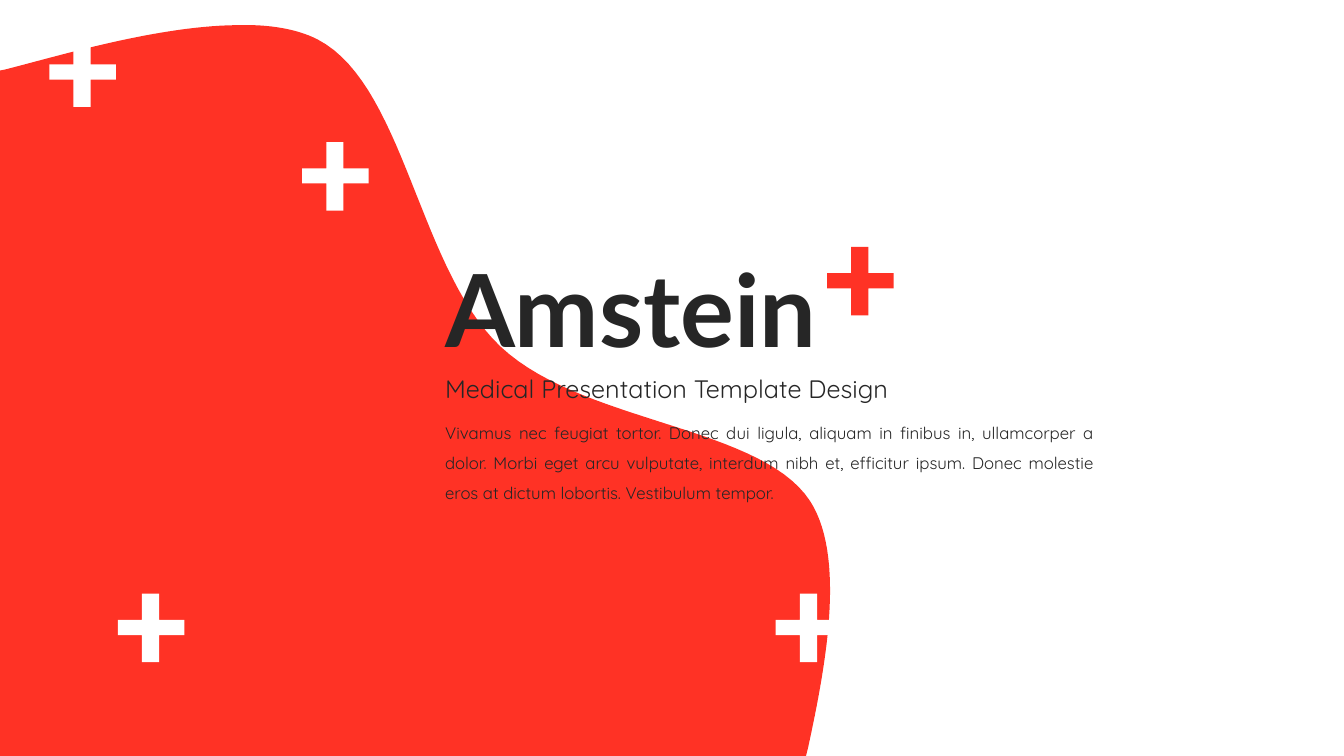
from pptx import Presentation
from pptx import util as u
from pptx.dml import color
from pptx.enum import text

PX = 9144
RED, WHITE, INK = "FF3225", "FFFFFF", "262626"


def rgb(value):
    return color.RGBColor.from_string(value)


def outline(points, fill):
    emu = [(round(x * PX), round(y * PX)) for x, y in points]
    builder = s.shapes.build_freeform(*emu[0], scale=1.0)
    builder.add_line_segments(emu[1:], close=True)
    sp = builder.convert_to_shape()
    sp.shadow.inherit = False
    sp.fill.solid()
    sp.fill.fore_color.rgb = rgb(fill)
    sp.line.fill.background()


prs = Presentation()
prs.slide_width = u.Emu(1334 * PX)
prs.slide_height = u.Emu(750 * PX)
s = prs.slides.add_slide(prs.slide_layouts[6])
s.background.fill.solid()
s.background.fill.fore_color.rgb = rgb(WHITE)

STEPS = 30
upper_edge = [((234, 25), (156, 26), (60, 55), (5, 69))]
right_edge = [
    ((802, 742), (818, 668), (841, 554), (804, 497)),
    ((804, 497), (755, 422), (578, 420), (497, 344)),
    ((497, 344), (415, 267), (402, 84), (315, 39)),
    ((315, 39), (293, 28), (265, 24), (234, 25)),
]
edges = []
for curves in (upper_edge, right_edge):
    points = []
    for curve in curves:
        for i in range(STEPS + 1):
            t = i / STEPS
            weights = ((1 - t) ** 3, 3 * t * (1 - t) ** 2, 3 * t * t * (1 - t), t ** 3)
            points.append([sum(w * p[axis] for w, p in zip(weights, curve)) for axis in (0, 1)])
    edges.append(points)
outline(edges[0] + [(0, 70), (0, 750), (800, 750)] + edges[1], RED)

CROSS = [(24, 0), (41, 0), (41, 26), (66, 26), (66, 41), (41, 41),
         (41, 68), (24, 68), (24, 41), (0, 41), (0, 26), (24, 26)]
crosses = [(821, 245, RED), (300, 141, WHITE), (117, 589, WHITE), (49, 38, WHITE), (770, 589, WHITE)]
for left, top, fill in crosses:
    outline([(left + x, top + y) for x, y in CROSS], fill)

body = ("Vivamus nec feugiat tortor. Donec dui ligula, aliquam in finibus in, ullamcorper a dolor. "
        "Morbi eget arcu vulputate, interdum nibh et, efficitur ipsum. Donec molestie eros at dictum "
        "lobortis. Vestibulum tempor.")
LEFT, JUSTIFY = text.PP_ALIGN.LEFT, text.PP_ALIGN.JUSTIFY
TOP, MIDDLE = text.MSO_ANCHOR.TOP, text.MSO_ANCHOR.MIDDLE
texts = [
    ("Medical Presentation Template Design", 365, 508, 40, "Quicksand", 18, False, LEFT, 1.0, TOP),
    (body, 404, 664, 100, "Quicksand", 12, False, JUSTIFY, 1.5, TOP),
    ("Amstein", 240, 800, 145, "Lato", 72, True, LEFT, 0.9, MIDDLE),
]
for words, top, width, height, font, size, bold, align, spacing, anchor in texts:
    sp = s.shapes.add_textbox(432 * PX, top * PX, width * PX, height * PX)
    tf = sp.text_frame
    tf.word_wrap = True
    tf.vertical_anchor = anchor
    p = tf.paragraphs[0]
    p.alignment = align
    p.line_spacing = spacing
    r = p.add_run()
    r.text = words
    r.font.name = font
    r.font.size = u.Pt(size)
    r.font.bold = bold
    r.font.color.rgb = rgb(INK)

prs.save("out.pptx")
